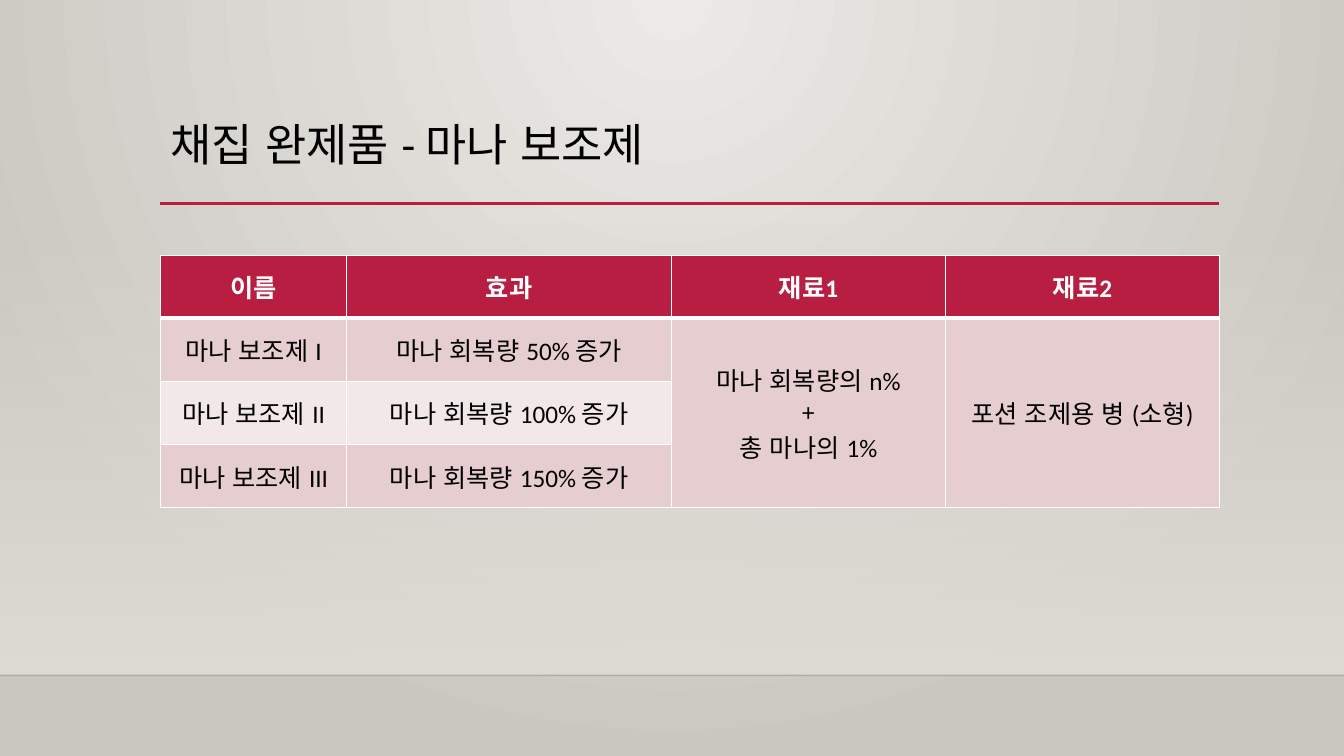
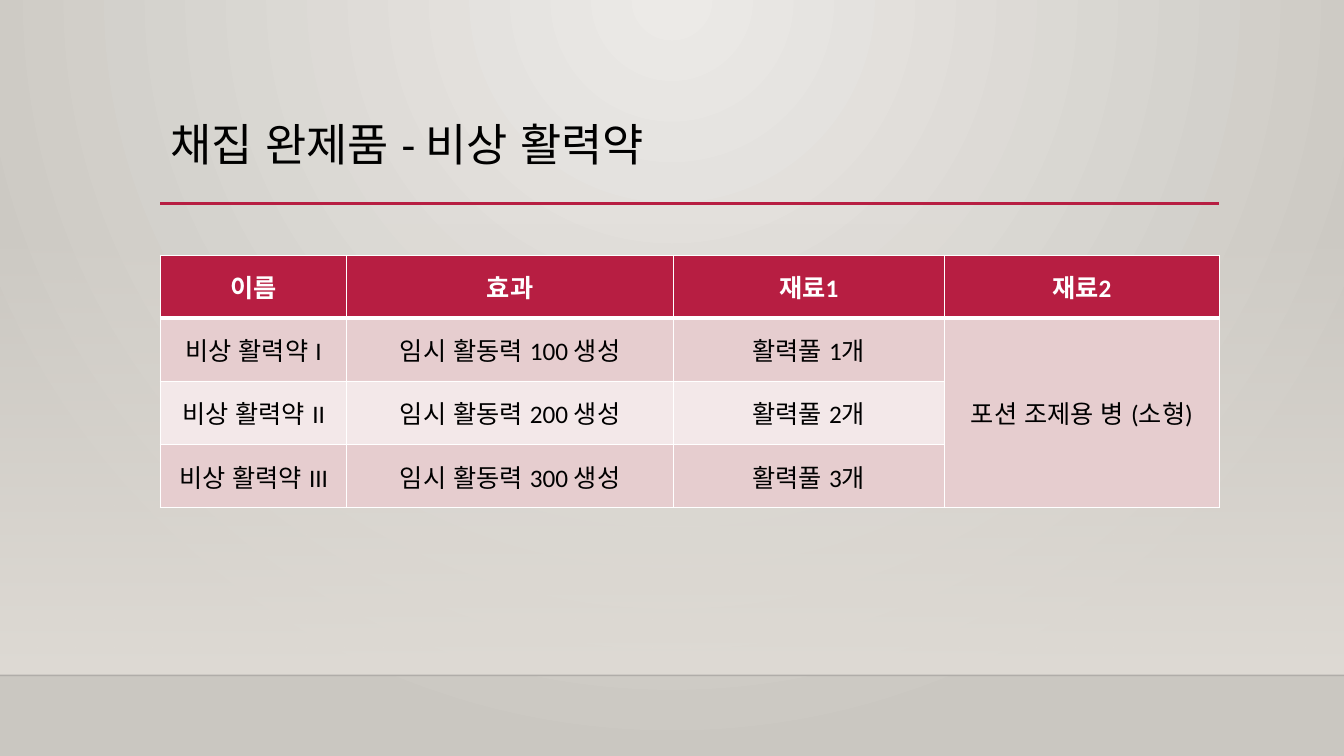
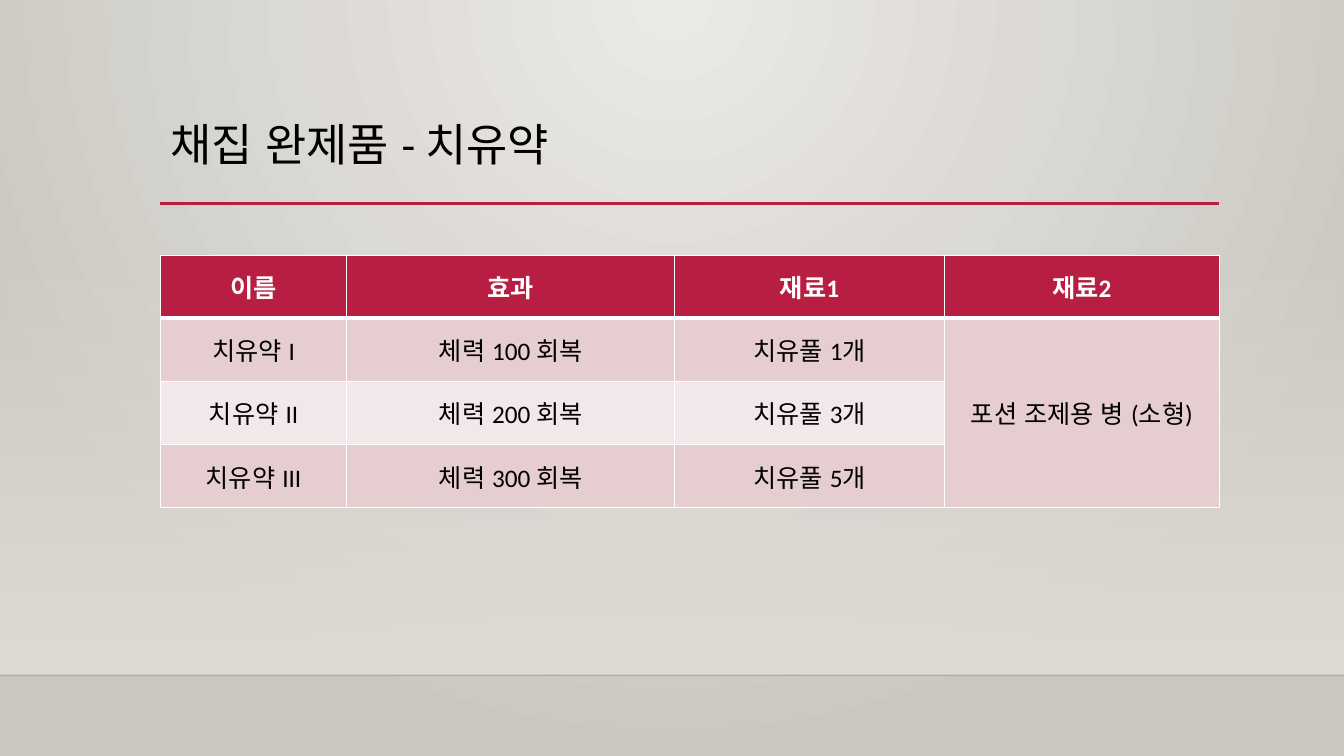
from pptx import Presentation
from pptx import util as u
from pptx.dml.color import RGBColor
from pptx.enum import lang, shapes, text
from pptx.oxml import parse_xml
from pptx.oxml.ns import nsdecls, qn
from lxml import etree

RED, PINK, PALE, WHITE, BLACK = "B71E42", "E6CDCF", "F3E8E9", "FFFFFF", "000000"
SAND = "DFDBD5"
LEFT, WIDTH = 4.04, 26.69
TABLE_TOP, ROW_HEIGHT = 6.43, 1.59
HEADERS = ["이름", "효과", "재료1", "재료2"]
BOTTLE = "포션 조제용 병 (소형)"


def rgb(value):
    """Return the colour for a hex string."""
    return RGBColor.from_string(value)


def write(frame, content, size=18, color=BLACK, bold=False, align=None, spacing=1.0):
    """Fill a text frame, one paragraph a line, vertically centred."""
    frame.text = content
    frame.word_wrap = True
    frame.vertical_anchor = text.MSO_ANCHOR.MIDDLE
    for para in frame.paragraphs:
        para.alignment = align
        para.line_spacing = spacing
        for span in para.runs:
            span.font.name = "Calibri"
            span.font.size = u.Pt(size)
            span.font.bold = bold
            span.font.color.rgb = rgb(color)
            span.font.language_id = lang.MSO_LANGUAGE_ID.KOREAN


# Each slide: product, column widths, effects, first ingredients
products = [
    ("마나 보조제", [4.7, 8.18, 6.91, 6.9],
     [f"마나 회복량 {n}% 증가" for n in (50, 100, 150)],
     ["마나 회복량의 n%\n+\n총 마나의 1%"]),
    ("비상 활력약", [4.7, 8.23, 6.83, 6.93],
     [f"임시 활동력 {n} 생성" for n in (100, 200, 300)],
     [f"활력풀 {n}개" for n in (1, 2, 3)]),
    ("치유약", [4.7, 8.26, 6.8, 6.93],
     [f"체력 {n} 회복" for n in (100, 200, 300)],
     [f"치유풀 {n}개" for n in (1, 3, 5)]),
]

deck = Presentation()
deck.slide_width, deck.slide_height = u.Cm(33.87), u.Cm(19.05)

# Shared radial background
backdrop = deck.slide_master.background.fill
backdrop.gradient()
for stop, color in zip(backdrop.gradient_stops, ["ECEAE7", "CAC7C1"]):
    stop.color.rgb = rgb(color)
linear = deck.slide_master.element.find(".//" + qn("a:lin"))
linear.getparent().replace(linear, parse_xml(
    f'<a:path {nsdecls("a")} path="circle">'
    '<a:fillToRect l="43000" t="0" r="43000" b="100000"/></a:path>'))

for product, widths, effects, ingredients in products:
    page = deck.slides.add_slide(deck.slide_layouts[6])

    # Wall that fades in towards the floor
    wall = page.shapes.add_shape(shapes.MSO_SHAPE.RECTANGLE, 0, u.Cm(5.62),
                                 deck.slide_width, u.Cm(11.4))
    wall.shadow.inherit = False
    wall.line.fill.background()
    wall.fill.gradient()
    wall.fill.gradient_angle = 270
    for stop in wall.fill.gradient_stops:
        stop.color.rgb = rgb(SAND)
    clear = wall.element.find(".//" + qn("a:srgbClr"))
    etree.SubElement(clear, qn("a:alpha"), val="0")

    # Floor edge and title rule
    for start, end, height, color, weight, opacity in [
            (0, 33.87, 17.02, "000001", 1, 20),
            (LEFT, LEFT + WIDTH, 5.13, RED, 2.5, 100)]:
        rule = page.shapes.add_connector(shapes.MSO_CONNECTOR.STRAIGHT, u.Cm(start),
                                         u.Cm(height), u.Cm(end), u.Cm(height))
        rule.line.color.rgb = rgb(color)
        rule.line.width = u.Pt(weight)
        etree.SubElement(rule.element.find(".//" + qn("a:srgbClr")),
                         qn("a:alpha"), val=str(opacity * 1000))
        etree.SubElement(rule.element.spPr, qn("a:effectLst"))

    title = page.shapes.add_textbox(u.Cm(LEFT), u.Cm(2.24), u.Cm(WIDTH), u.Cm(2.92))
    write(title.text_frame, f"채집 완제품 - {product}", size=32, spacing=0.9)

    names = [f"{product} {numeral}" for numeral in ("I", "II", "III")]
    columns = [names, effects, ingredients, [BOTTLE]]
    table = page.shapes.add_table(4, 4, u.Cm(LEFT), u.Cm(TABLE_TOP),
                                  u.Cm(WIDTH), u.Cm(4 * ROW_HEIGHT)).table
    for row in table.rows:
        row.height = u.Cm(ROW_HEIGHT)
    for c, (header, entries) in enumerate(zip(HEADERS, columns)):
        table.columns[c].width = u.Cm(widths[c])
        for r in range(4):
            cell = table.cell(r, c)
            borders = {"L": 1, "R": 1, "T": 3 if r == 1 else 1, "B": 3 if r == 0 else 1}
            for side, weight in borders.items():
                cell._tc.get_or_add_tcPr().append(parse_xml(
                    f'<a:ln{side} {nsdecls("a")} w="{u.Pt(weight)}"><a:solidFill>'
                    f'<a:srgbClr val="{WHITE}"/></a:solidFill></a:ln{side}>'))
            cell.fill.solid()
            cell.fill.fore_color.rgb = rgb([RED, PINK, PALE, PINK][r])
        if len(entries) == 1:
            table.cell(1, c).merge(table.cell(3, c))
        for r, entry in enumerate([header] + entries):
            cell = table.cell(r, c)
            write(cell.text_frame, entry, color=BLACK if r else WHITE, bold=r == 0,
                  align=text.PP_ALIGN.CENTER)
            cell.vertical_anchor = text.MSO_ANCHOR.MIDDLE

deck.save("out.pptx")
